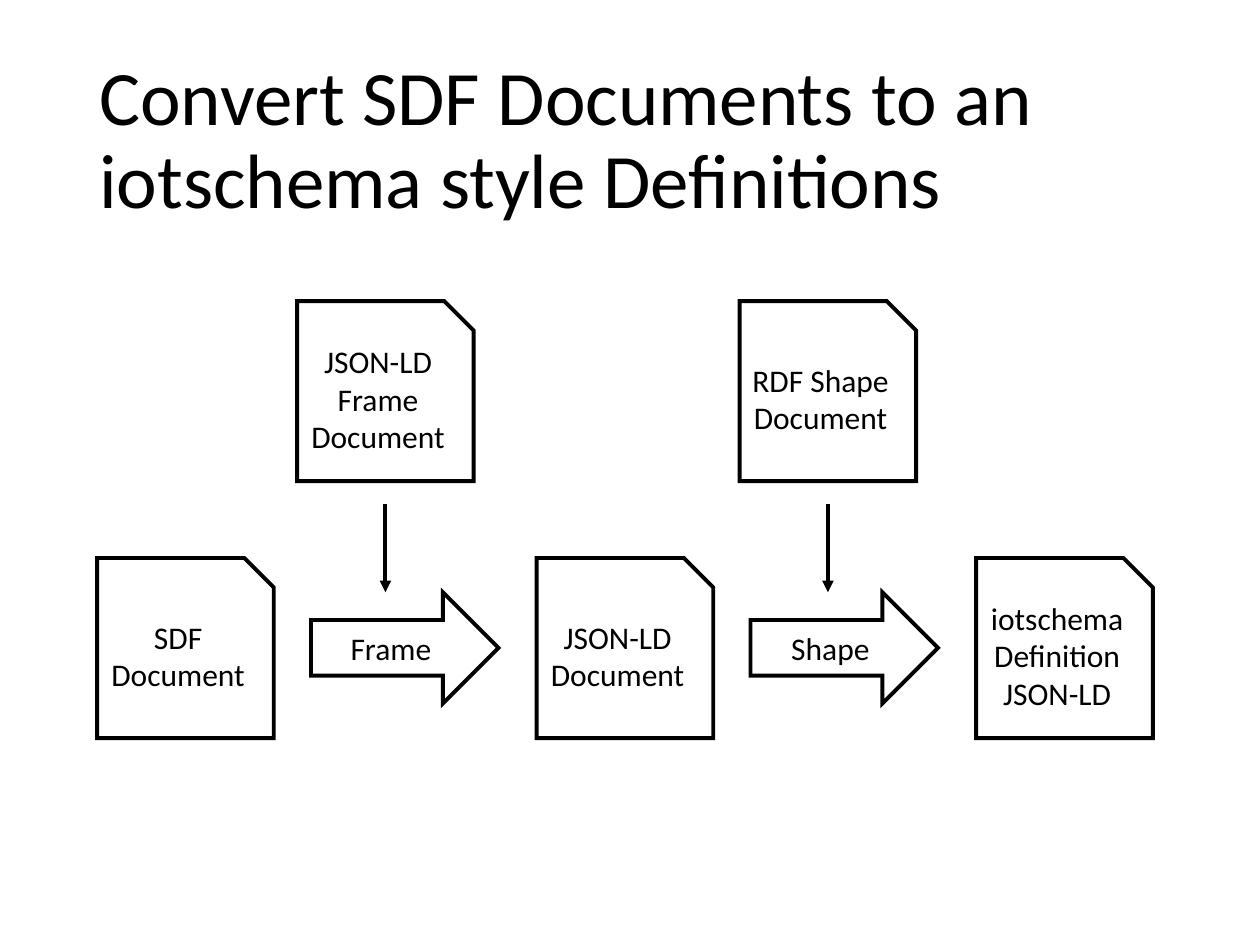
import pptx
import pptx.dml.color
import pptx.enum.shapes
import pptx.enum.text
import pptx.oxml.ns
import pptx.util
from lxml import etree
from pptx.util import Cm

BLACK = pptx.dml.color.RGBColor(0, 0, 0)
FONT = "Calibri"
SHAPES = pptx.enum.shapes.MSO_SHAPE
ALIGN = pptx.enum.text.PP_ALIGN
MIDDLE = pptx.enum.text.MSO_ANCHOR.MIDDLE

DOCUMENT_WIDTH, DOCUMENT_HEIGHT = 3.56, 3.63
FLOW_LEFT, FLOW_TOP, FLOW_STEP = 1.96, 11.25, 8.86
INPUT_LEFT, INPUT_TOP, INPUT_STEP = 5.99, 6.07, 8.92
PROCESS_OFFSET, PROCESS_TOP = 4.31, 11.94
PROCESS_WIDTH, PROCESS_HEIGHT = 3.78, 2.24
CONNECTOR_TOP = 10.16

FLOW_DOCUMENTS = ["SDF Document", "JSON-LD Document", "iotschema Definition\nJSON-LD"]
STEPS = [("JSON-LD Frame Document", "Frame"), ("RDF Shape Document", "Shape")]


def add_child(parent, tag, **attributes):
    return etree.SubElement(parent, pptx.oxml.ns.qn(tag), **attributes)


def write_text(frame, text, size, alignment):
    frame.text = text
    frame.word_wrap = True
    frame.vertical_anchor = MIDDLE
    for para in frame.paragraphs:
        para.alignment = alignment
        for span in para.runs:
            span.font.name = FONT
            span.font.size = pptx.util.Pt(size)
            span.font.color.rgb = BLACK


def style_line(line):
    line.color.rgb = BLACK
    line.width = pptx.util.Pt(2.25)


def add_title(page, text):
    box = page.shapes.add_textbox(Cm(1.75), Cm(1.02), Cm(21.89), Cm(3.68))
    write_text(box.text_frame, text, 44, ALIGN.LEFT)
    box.text_frame.paragraphs[0].line_spacing = 0.9


def add_outlined_shape(page, kind, left, top, width, height, text):
    shape = page.shapes.add_shape(kind, Cm(left), Cm(top), Cm(width), Cm(height))
    shape.shadow.inherit = False
    shape.fill.background()
    style_line(shape.line)
    add_child(shape.line._get_or_add_ln(), "a:miter", lim="800000")
    write_text(shape.text_frame, text, 18, ALIGN.CENTER)


def add_document(page, left, top, text):
    add_outlined_shape(page, SHAPES.SNIP_1_RECTANGLE, left, top,
                       DOCUMENT_WIDTH, DOCUMENT_HEIGHT, text)


def add_process(page, left, text):
    add_outlined_shape(page, SHAPES.RIGHT_ARROW, left, PROCESS_TOP,
                       PROCESS_WIDTH, PROCESS_HEIGHT, text)


def add_down_arrow(page, center):
    connector = page.shapes.add_connector(
        pptx.enum.shapes.MSO_CONNECTOR.STRAIGHT,
        Cm(center), Cm(CONNECTOR_TOP), Cm(center), Cm(PROCESS_TOP))
    style_line(connector.line)
    add_child(connector.line._get_or_add_ln(), "a:tailEnd", type="triangle")
    add_child(connector._element.spPr, "a:effectLst")


def main():
    deck = pptx.Presentation()
    deck.slide_width, deck.slide_height = Cm(25.4), Cm(19.05)
    page = deck.slides.add_slide(deck.slide_layouts[6])

    add_title(page, "Convert SDF Documents to an iotschema style Definitions")
    for index, text in enumerate(FLOW_DOCUMENTS):
        add_document(page, FLOW_LEFT + index * FLOW_STEP, FLOW_TOP, text)
    for index, (input_text, process_text) in enumerate(STEPS):
        input_left = INPUT_LEFT + index * INPUT_STEP
        add_document(page, input_left, INPUT_TOP, input_text)
        add_process(page, FLOW_LEFT + PROCESS_OFFSET + index * FLOW_STEP, process_text)
        add_down_arrow(page, input_left + DOCUMENT_WIDTH / 2)

    deck.save("out.pptx")


if __name__ == "__main__":
    main()
